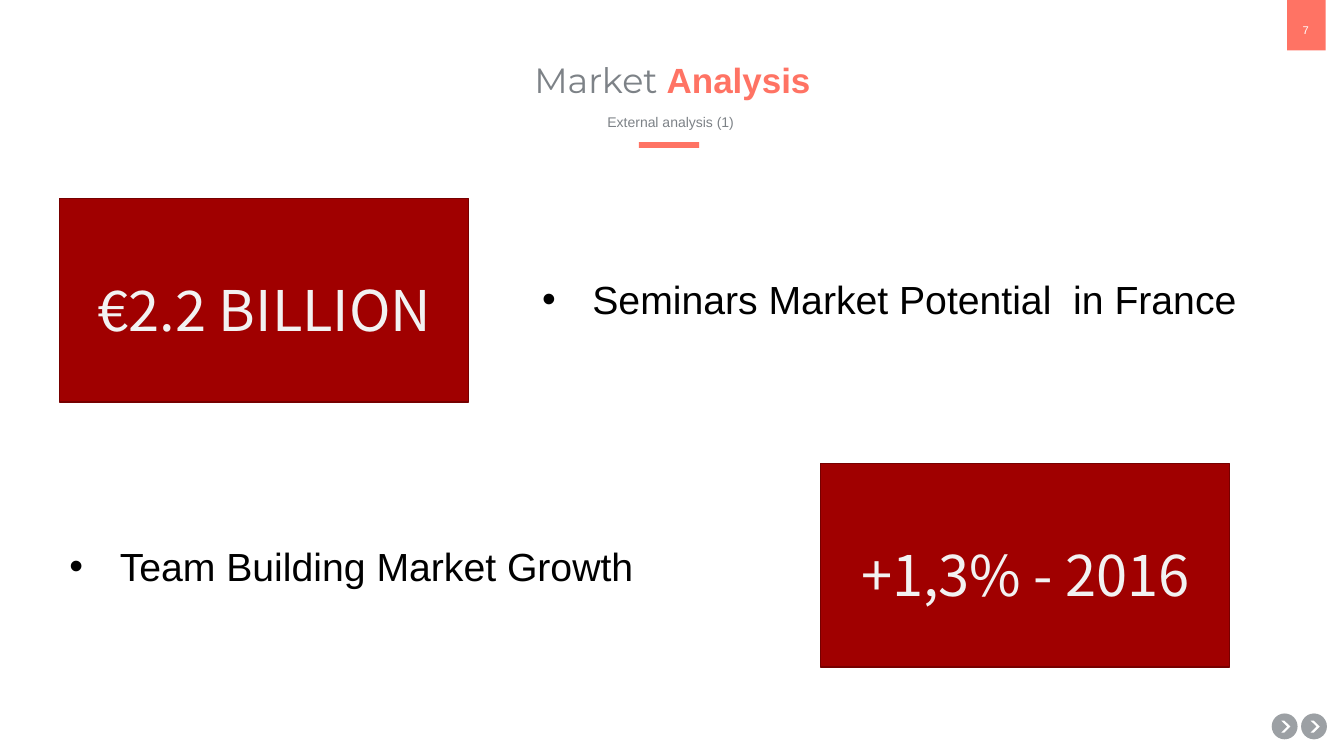
from lxml.etree import SubElement
from pptx import Presentation
from pptx.dml.color import RGBColor
from pptx.enum.shapes import MSO_SHAPE as Shape
from pptx.enum.text import MSO_ANCHOR as Anchor, PP_ALIGN as Align
from pptx.oxml.ns import qn
from pptx.util import Cm, Pt

CORAL = RGBColor(0xFF, 0x73, 0x64)
GREY = RGBColor(0x7D, 0x82, 0x87)
RED = RGBColor(0xA0, 0x00, 0x00)
EDGE = RGBColor(0x76, 0x00, 0x00)
PALE = RGBColor(0xF2, 0xF2, 0xF2)
SNOW = RGBColor(0xFE, 0xFE, 0xFE)
WHITE = RGBColor(0xFF, 0xFF, 0xFF)
BLACK = RGBColor(0x00, 0x00, 0x00)


def write(para, text, size=10, font="Arial", color=GREY, bold=False):
    run = para.add_run()
    run.text = text
    run.font.size = Pt(size)
    run.font.name = font
    run.font.bold = bold
    run.font.color.rgb = color
    for tag in ("a:ea", "a:cs"):
        SubElement(run.font._element, qn(tag)).set("typeface", font)


class Page:
    body = "Arial"
    head = "Montserrat"
    big = "Noto Sans CJK SC"

    def __init__(self, slide):
        self.slide = slide

    def shape(self, kind, left, top, width, height, fill, line=None, alpha=None):
        item = self.slide.shapes.add_shape(kind, Cm(left), Cm(top), Cm(width), Cm(height))
        item.shadow.inherit = False
        item.fill.solid()
        item.fill.fore_color.rgb = fill
        if line is None:
            item.line.fill.background()
        else:
            item.line.color.rgb = line
            item.line.width = Pt(1)
        if alpha:
            color = item._element.spPr.find(qn("a:solidFill"))[0]
            SubElement(color, qn("a:alpha")).set("val", str(alpha * 1000))
        return item

    def text(self, left, top, width, height, *runs, align=Align.CENTER, anchor=Anchor.MIDDLE):
        box = self.slide.shapes.add_textbox(Cm(left), Cm(top), Cm(width), Cm(height))
        frame = box.text_frame
        frame.word_wrap = True
        frame.vertical_anchor = anchor
        para = frame.paragraphs[0]
        para.alignment = align
        for text, style in runs:
            write(para, text, **style)
        return para

    def button(self, left, top):
        side = 0.65
        for _ in range(2):
            self.shape(Shape.OVAL, left, top, side, side, GREY, alpha=50)
        mark = self.shape(Shape.CHEVRON, left + 0.24, top + 0.18, 0.23, 0.3, WHITE)
        mark.adjustments[0] = 0.66

    def card(self, left, top, text):
        self.shape(Shape.RECTANGLE, left, top, 10.31, 5.13, RED, EDGE)
        style = dict(size=40, font=self.big, color=PALE)
        self.text(left + 0.54, top + 1.82, 9.25, 1.47, (text, style), anchor=Anchor.TOP)

    def bullet(self, left, top, text):
        style = dict(size=28, font=self.body, color=BLACK)
        para = self.text(left, top, 18.14, 1.45, (text, style),
                         align=Align.LEFT, anchor=Anchor.TOP)
        props = para._p.get_or_add_pPr()
        props.set("marL", str(Cm(1.27)))
        props.set("indent", str(-Cm(1.27)))
        SubElement(props, qn("a:buFont")).set("typeface", self.body)
        SubElement(props, qn("a:buChar")).set("char", "•")


def main():
    deck = Presentation()
    deck.slide_width, deck.slide_height = Cm(33.87), Cm(19.05)
    page = Page(deck.slides.add_slide(deck.slide_layouts[6]))

    page.shape(Shape.RECTANGLE, 32.44, -0.08, 0.97, 1.35, CORAL)
    page.text(32.31, 0.48, 1.19, 0.53, ("7", dict(size=8, color=SNOW)))
    for left in (32.79, 32.05):
        page.button(left, 17.98)

    title = page.text(2.34, 1.37, 29.21, 1.4,
                      ("Market ", dict(size=25, font=page.head)),
                      ("Analysis", dict(size=25, color=CORAL, bold=True)))
    title.line_spacing = 0.9
    page.text(6.88, 2.72, 20.04, 0.69, ("External analysis (1)", dict(size=10)))
    page.shape(Shape.RECTANGLE, 16.1, 3.58, 1.52, 0.15, CORAL)

    page.card(1.5, 5, "€2.2 BILLION")
    page.bullet(13.41, 6.81, "Seminars Market Potential  in France")
    page.card(20.68, 11.68, "+1,3% - 2016")
    page.bullet(1.5, 13.54, "Team Building Market Growth")

    deck.save("out.pptx")


if __name__ == "__main__":
    main()
